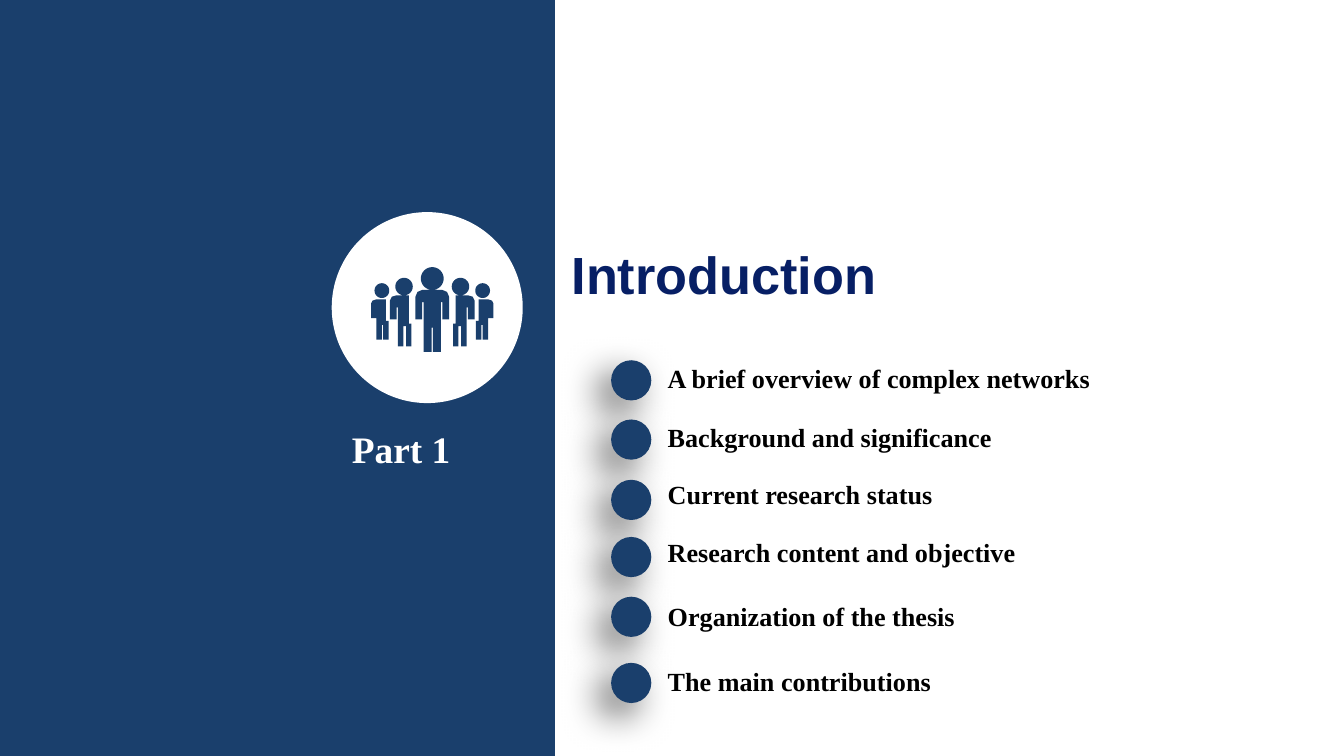
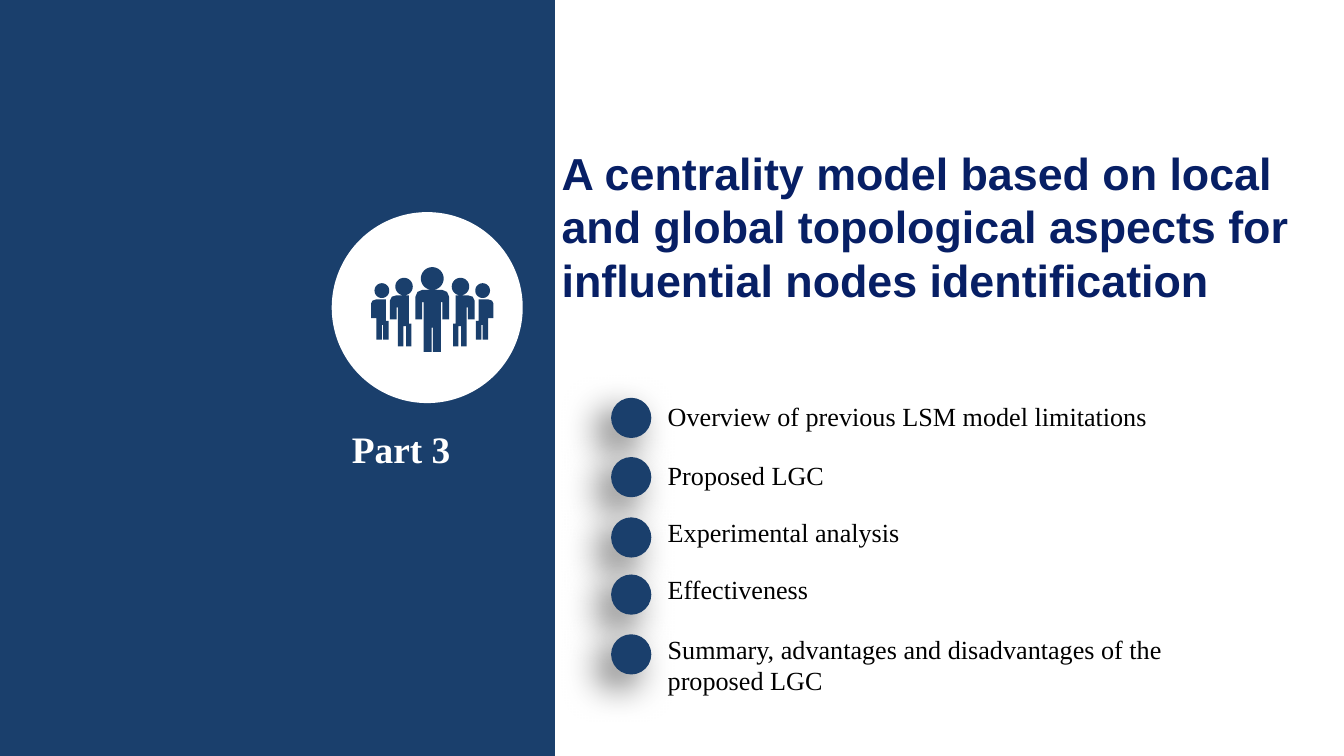
"""Build two section-divider slides with a shared panel, people icon and dotted agenda."""
from math import cos, pi, sin

from lxml.etree import SubElement
from pptx import Presentation
from pptx.dml.color import RGBColor
from pptx.enum.shapes import MSO_SHAPE
from pptx.enum.text import MSO_ANCHOR, MSO_AUTO_SIZE, PP_ALIGN
from pptx.oxml.ns import qn
from pptx.util import Cm, Pt

COLORS = {"panel": "1A3F6C", "title": "071F65", "white": "FFFFFF", "text": "000000"}
HEADING_FONT = "Arial"
BODY_FONT = "Times New Roman"

SECTIONS = [
    {
        "part": "Part 1",
        "title": "Introduction",
        "title_box": (10.52, 4.45, 6.32, 1.45),
        "title_size": 28,
        "title_align": PP_ALIGN.CENTER,
        "bold": True,
        "first_dot": 6.81,
        "items": [
            ("A brief overview of complex networks", 6.73, 8.56, 0.86),
            ("Background and significance", 7.85, 6.81, 0.86),
            ("Current research status", 8.92, 5.69, 0.86),
            ("Research content and objective", 10.01, 9.25, 0.86),
            ("Organization of the thesis", 11.23, 5.97, 0.86),
            ("The main contributions", 12.45, 5.64, 0.86),
        ],
    },
    {
        "part": "Part 3",
        "title": "A centrality model based on local and global topological aspects "
                 "for influential nodes identification",
        "title_box": (10.36, 2.62, 14.91, 3.33),
        "title_size": 24,
        "title_align": PP_ALIGN.LEFT,
        "bold": False,
        "first_dot": 7.52,
        "items": [
            ("Overview of previous LSM model limitations", 7.44, 9.65, 0.86),
            ("Proposed LGC", 8.56, 3.51, 0.86),
            ("Experimental analysis", 9.63, 7.21, 0.86),
            ("Effectiveness", 10.72, 3.51, 0.86),
            ("Summary, advantages and disadvantages of the proposed LGC", 11.84, 11.71, 1.45),
        ],
    },
]

DOT_OFFSETS = [0, 1.12, 2.26, 3.34, 4.47, 5.72]
DOT_LEFT, DOT_SIZE, ITEM_LEFT = 11.55, 0.76, 12.37

ICON_CENTER, ICON_TOP, ICON_UNIT = 8.17, 5.05, 0.0254
HEADS = [(0, 8.5, 8.5), (21, 14.5, 6.5), (37.5, 17.5, 5.5)]
CENTER_HALF = [(0.5, 45), (0.5, 63), (6.5, 63), (6.5, 26), (7.5, 26), (7.5, 39),
               (12.5, 39), (12.5, 22), (11, 18.5), (7.5, 17)]
SIDE_BODIES = [
    [(15.5, 42), (15.5, 59), (19.5, 59), (19.5, 44), (21.5, 44), (21.5, 59), (25.5, 59),
     (25.5, 30), (26.5, 30), (26.5, 39), (31.5, 39), (31.5, 25), (30, 22), (26.5, 21),
     (17.5, 21), (17.5, 42)],
    [(32.5, 40), (32.5, 54), (36.5, 54), (36.5, 43), (37.5, 43), (37.5, 54), (41.5, 54),
     (41.5, 38), (45.5, 38), (45.5, 27), (44.5, 25), (41.5, 24), (34.5, 24), (34.5, 40)],
]


def color(name):
    return RGBColor.from_string(COLORS[name])


def paint(shape, name):
    shape.shadow.inherit = False
    shape.fill.solid()
    shape.fill.fore_color.rgb = color(name)
    shape.line.fill.background()


def add_filled(shapes, kind, box, name):
    shape = shapes.add_shape(kind, *map(Cm, box))
    paint(shape, name)
    return shape


def write(shape, text, font_name, size, color_name, bold, align=PP_ALIGN.LEFT):
    frame = shape.text_frame
    frame.text = text
    frame.word_wrap = True
    frame.auto_size = MSO_AUTO_SIZE.NONE
    frame.vertical_anchor = MSO_ANCHOR.TOP
    paragraph = frame.paragraphs[0]
    paragraph.alignment = align
    font = paragraph.runs[0].font
    font.name, font.size, font.bold = font_name, Pt(size), bold
    font.color.rgb = color(color_name)
    return frame


def add_shadow(shape):
    effects = shape._element.spPr.find(qn("a:effectLst"))
    shadow = SubElement(effects, qn("a:outerShdw"), blurRad=str(Pt(20)), dist=str(Pt(10)),
                        dir=str(135 * 60000), algn="tr", rotWithShape="0")
    tone = SubElement(shadow, qn("a:srgbClr"), val=COLORS["text"])
    SubElement(tone, qn("a:alpha"), val="60000")


def mirror(points):
    return [(-x, y) for x, y in points]


def circle(x, y, radius, steps=32):
    angles = [2 * pi * step / steps for step in range(steps)]
    return [(x + radius * cos(angle), y + radius * sin(angle)) for angle in angles]


def people_contours():
    side = [circle(*head) for head in HEADS[1:]] + SIDE_BODIES
    center = [circle(*HEADS[0]), CENTER_HALF + mirror(CENTER_HALF)[::-1]]
    return center + side + [mirror(points) for points in side]


def add_people_icon(slide):
    group = slide.shapes.add_group_shape()
    add_filled(group.shapes, MSO_SHAPE.OVAL, (6.27, 4.01, 3.61, 3.61), "white")
    unit = Cm(ICON_UNIT)
    builder = None
    for contour in people_contours():
        points = [(x * unit, y * unit) for x, y in contour]
        if builder is None:
            builder = group.shapes.build_freeform(*points[0], scale=1.0)
        else:
            builder.move_to(*points[0])
        builder.add_line_segments(points[1:], close=True)
    paint(builder.convert_to_shape(Cm(ICON_CENTER), Cm(ICON_TOP)), "panel")


def add_agenda(slide, section):
    for (text, top, width, height), offset in zip(section["items"], DOT_OFFSETS):
        box = (DOT_LEFT, section["first_dot"] + offset, DOT_SIZE, DOT_SIZE)
        add_shadow(add_filled(slide.shapes, MSO_SHAPE.OVAL, box, "panel"))
        label = slide.shapes.add_textbox(*map(Cm, (ITEM_LEFT, top, width, height)))
        write(label, text, BODY_FONT, 14, "text", section["bold"])


def add_section(presentation, section):
    slide = presentation.slides.add_slide(presentation.slide_layouts[5])
    add_filled(slide.shapes, MSO_SHAPE.RECTANGLE, (0, 0, 10.49, 14.29), "panel")

    title = slide.shapes.title
    title.left, title.top, title.width, title.height = map(Cm, section["title_box"])
    frame = write(title, section["title"], HEADING_FONT, section["title_size"], "title", True,
                  section["title_align"])
    frame.word_wrap = section["title_align"] == PP_ALIGN.LEFT

    part = slide.shapes.add_textbox(*map(Cm, (6.65, 8.05, 3.45, 0.86)))
    frame = write(part, section["part"], BODY_FONT, 20, "white", True)
    frame.margin_left = frame.margin_top = frame.margin_right = frame.margin_bottom = 0

    add_people_icon(slide)
    add_agenda(slide, section)


def main():
    presentation = Presentation()
    presentation.slide_width, presentation.slide_height = Cm(25.4), Cm(14.29)
    for section in SECTIONS:
        add_section(presentation, section)
    presentation.save("out.pptx")


if __name__ == "__main__":
    main()
